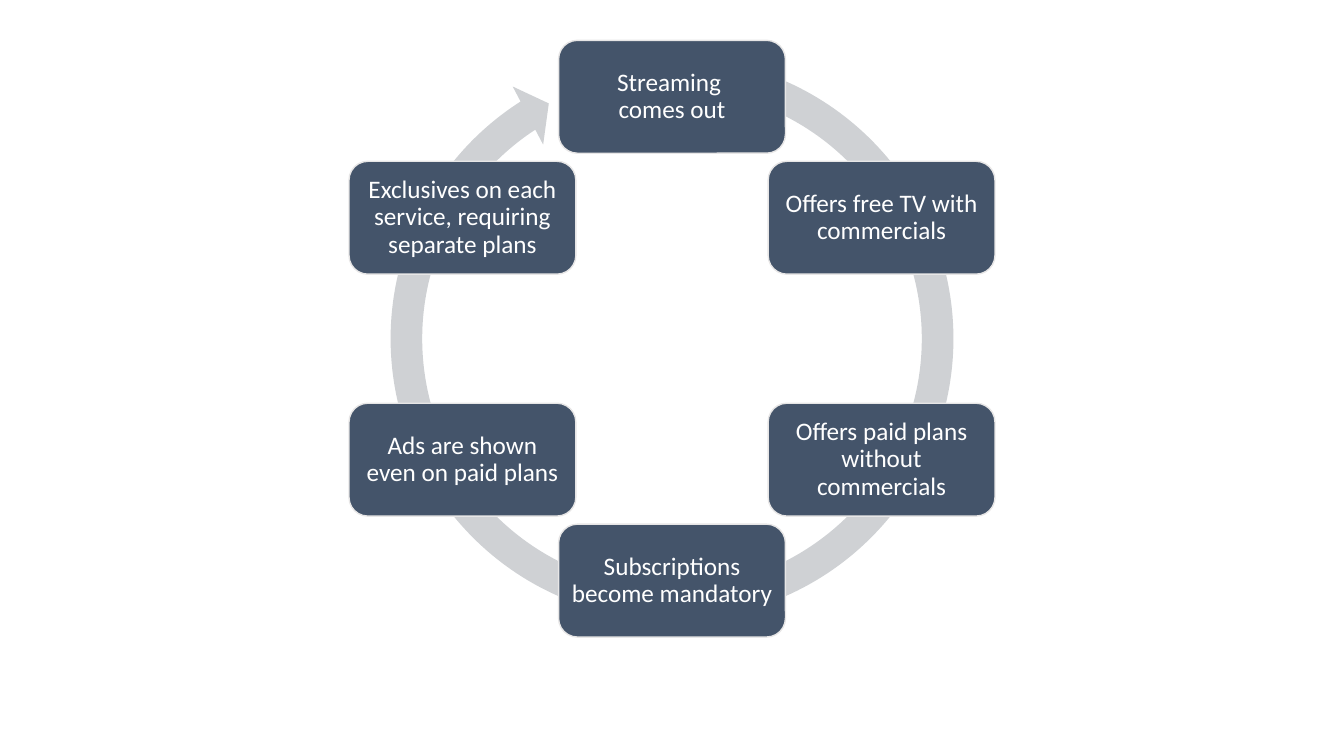
import math

from pptx import Presentation
from pptx.dml.color import RGBColor
from pptx.enum.shapes import MSO_SHAPE
from pptx.enum.text import MSO_ANCHOR, PP_ALIGN
from pptx.util import Inches, Pt

STAGES = [
    "Streaming \ncomes out",
    "Offers free TV with commercials",
    "Offers paid plans without commercials",
    "Subscriptions become mandatory",
    "Ads are shown even on paid plans",
    "Exclusives on each service, requiring separate plans",
]
COLORS = {"ring": "CFD1D4", "box": "44546A", "edge": "E7E6E6", "text": "FFFFFF"}
FONT = "Calibri"

SLIDE_W, SLIDE_H = 13.33, 7.5
CENTER_X, CENTER_Y = SLIDE_W / 2, 3.36
RADIUS = 2.4
BOX_W, BOX_H = 2.25, 1.12
RING_SIZE = 5.92
# Band thickness, head angle, end angle, start angle, head width
RING_ADJUSTMENTS = (0.053, 3.126, 142.291, 171.264, 0.055)
INSET = Inches(0.06)

ROUND_RECT = MSO_SHAPE.ROUNDED_RECTANGLE
CIRCULAR_ARROW = MSO_SHAPE.CIRCULAR_ARROW
MIDDLE = MSO_ANCHOR.MIDDLE
CENTER = PP_ALIGN.CENTER


def rgb(name):
    return RGBColor.from_string(COLORS[name])


def add_centered(slide, kind, x, y, w, h, fill):
    """Add a filled shape whose middle is at x, y."""
    sp = slide.shapes.add_shape(
        kind, Inches(x - w / 2), Inches(y - h / 2), Inches(w), Inches(h))
    sp.shadow.inherit = False
    sp.fill.solid()
    sp.fill.fore_color.rgb = rgb(fill)
    return sp


def add_ring(slide):
    sp = add_centered(slide, CIRCULAR_ARROW, CENTER_X, CENTER_Y,
                      RING_SIZE, RING_SIZE, "ring")
    sp.line.fill.background()
    for i, value in enumerate(RING_ADJUSTMENTS):
        sp.adjustments[i] = value


def add_stage(slide, text, angle):
    """Add a stage box at a clockwise angle from the top of the ring."""
    sp = add_centered(slide, ROUND_RECT,
                      CENTER_X + RADIUS * math.sin(angle),
                      CENTER_Y - RADIUS * math.cos(angle),
                      BOX_W, BOX_H, "box")
    sp.line.color.rgb = rgb("edge")
    sp.line.width = Pt(1)
    tf = sp.text_frame
    tf.word_wrap = True
    tf.vertical_anchor = MIDDLE
    tf.margin_left = tf.margin_right = tf.margin_top = tf.margin_bottom = INSET
    p = tf.paragraphs[0]
    p.text = text
    p.alignment = CENTER
    p.line_spacing = 0.9
    p.font.name = FONT
    p.font.size = Pt(18)
    p.font.color.rgb = rgb("text")


def main():
    prs = Presentation()
    prs.slide_width, prs.slide_height = Inches(SLIDE_W), Inches(SLIDE_H)
    s = prs.slides.add_slide(prs.slide_layouts[6])
    add_ring(s)
    for i, text in enumerate(STAGES):
        add_stage(s, text, math.tau * i / len(STAGES))
    prs.save("out.pptx")


if __name__ == "__main__":
    main()
